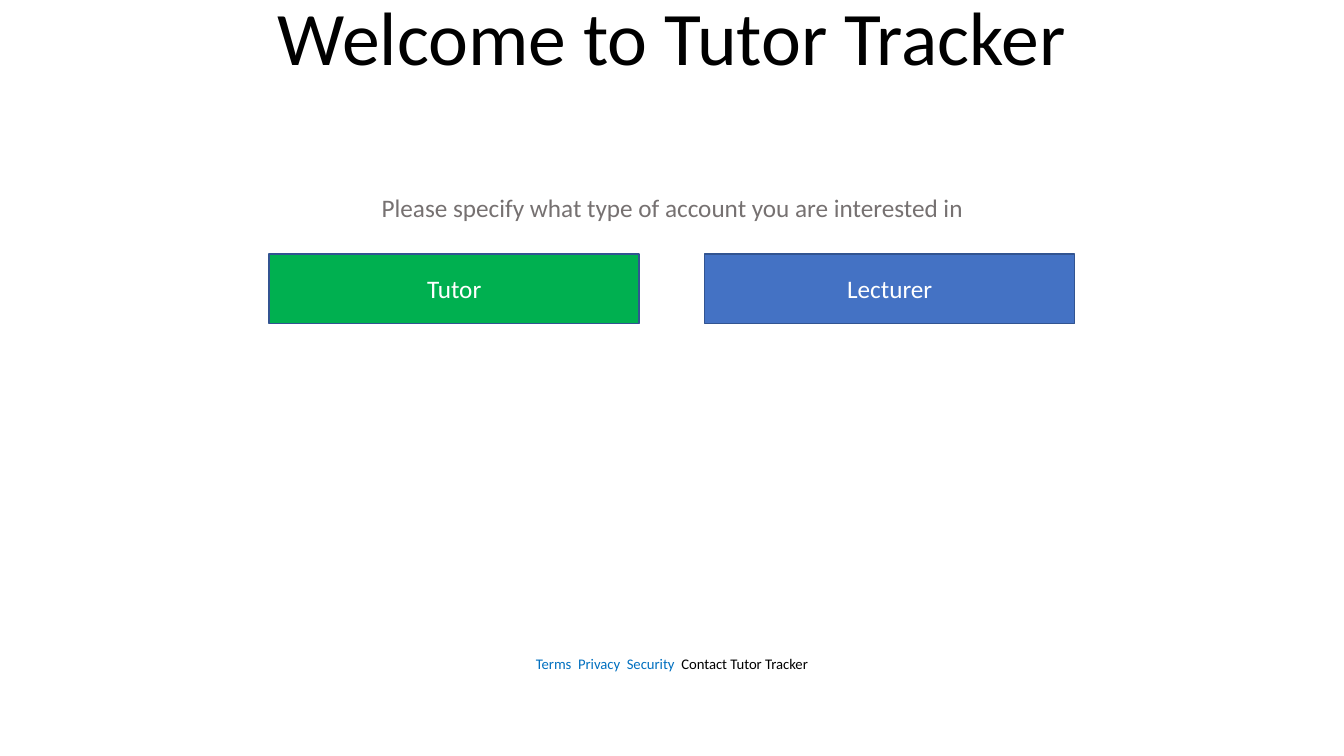
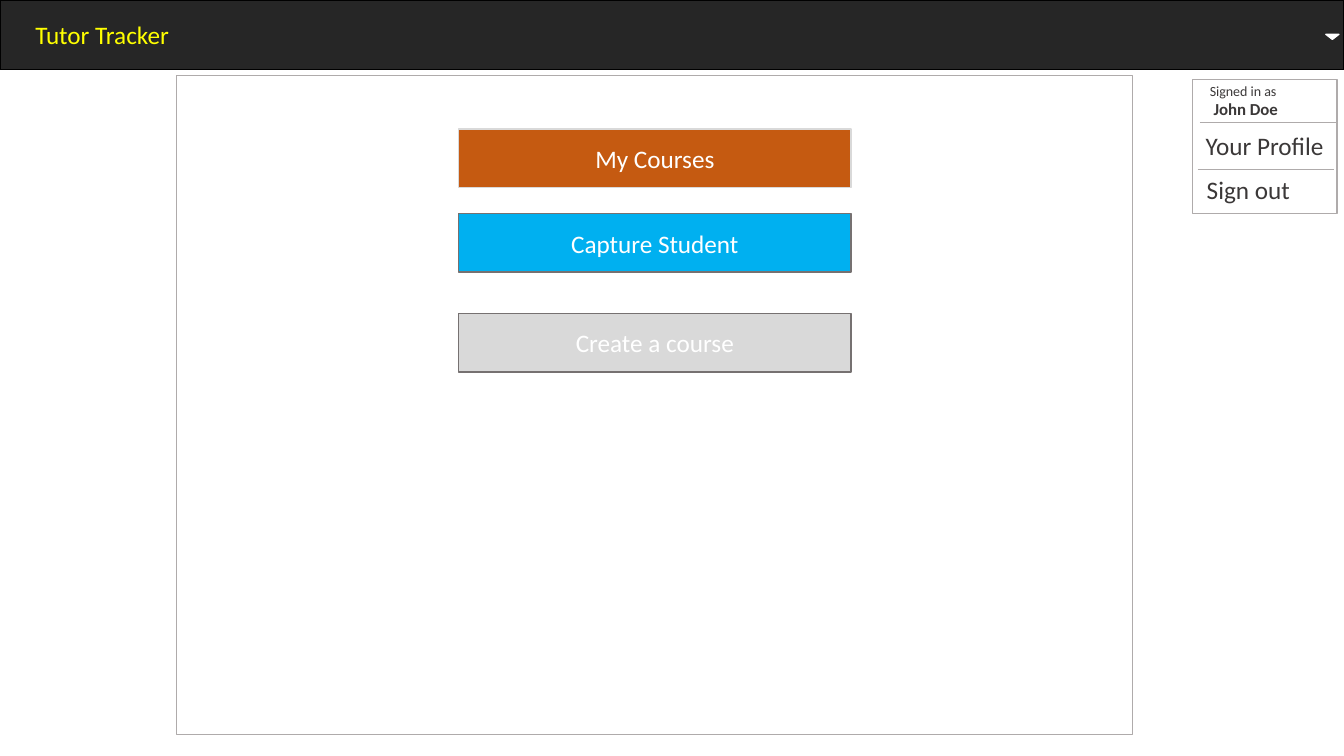
"""Build the welcome and home screens of the Tutor Tracker mock-up."""
from dataclasses import dataclass

from pptx import Presentation
from pptx.dml.color import RGBColor
from pptx.enum import shapes, text
from pptx.oxml import ns, xmlchemy
from pptx.util import Inches, Pt


@dataclass(frozen=True)
class Theme:
    """Colours, font and type sizes shared by the slides."""
    font: str = "Calibri"
    white: str = "FFFFFF"
    black: str = "000000"
    band: str = "262626"
    brand: str = "FFFF00"
    green: str = "00B050"
    blue: str = "4472C4"
    navy: str = "325491"
    sky: str = "00B0F0"
    orange: str = "C55A11"
    silver: str = "D9D9D9"
    gray: str = "767171"
    rule: str = "AFABAB"
    ink: str = "3B3838"
    link: str = "0070C0"
    display: float = 54
    body: float = 18
    name: float = 12
    label: float = 10
    footer: float = 10.5


THEME = Theme()
CENTER, LEFT = text.PP_ALIGN.CENTER, text.PP_ALIGN.LEFT
SLIDE_WIDTH, SLIDE_HEIGHT, BAND_HEIGHT = 13.33, 7.5, 0.69

WELCOME = "Welcome to Tutor Tracker"
PROMPT = "Please specify what type of account you are interested in"
ACCOUNTS = [("Tutor", THEME.green), ("Lecturer", THEME.blue)]
FOOTER = [("Terms  Privacy  Security", THEME.link),
          ("  Contact Tutor Tracker", THEME.black)]
APP_NAME = "Tutor Tracker"
ACTIONS = [("My Courses", 1.28, THEME.orange, THEME.silver),
           ("Capture Student", 2.12, THEME.sky, THEME.gray),
           ("Create a course", 3.11, THEME.silver, THEME.gray)]
SIGNED_IN = [("Signed in as", THEME.label, False), (" John Doe", THEME.name, True)]
MENU = [("Your Profile", 11.86, 1.32), ("Sign out", 11.87, 1.75)]
MENU_RULES = [(11.9, 1.21), (11.88, 1.68)]


def color(value):
    return RGBColor.from_string(value)


def paint(shape, fill, line=None):
    shape.fill.solid()
    shape.fill.fore_color.rgb = color(fill)
    if line:
        shape.line.color.rgb = color(line)
        shape.line.width = Pt(1)
    else:
        shape.line.fill.background()


def style(paragraph, size, ink, align=CENTER, bold=False):
    paragraph.alignment = align
    font = paragraph.font
    font.name, font.size, font.bold = THEME.font, Pt(size), bold
    font.color.rgb = color(ink)


def add_box(slide, box, fill=THEME.white, line=None,
            kind=shapes.MSO_SHAPE.RECTANGLE):
    shape = slide.shapes.add_shape(kind, *map(Inches, box))
    shape.shadow.inherit = False
    paint(shape, fill, line)
    return shape


def add_label(slide, box, words, ink=THEME.white, align=CENTER, **look):
    paragraph = add_box(slide, box, **look).text_frame.paragraphs[0]
    paragraph.text = words
    style(paragraph, THEME.body, ink, align)


def add_rule(slide, left, top, width):
    rule = slide.shapes.add_connector(
        shapes.MSO_CONNECTOR.STRAIGHT,
        *map(Inches, (left, top, left + width, top)))
    rule.line.color.rgb = color(THEME.rule)
    rule.line.width = Pt(0.5)
    rule._element.spPr.append(xmlchemy.OxmlElement("a:effectLst"))


def add_titled_slide(presentation, words, size, ink, fill, line=None,
                     align=CENTER, inset=0.1):
    slide = presentation.slides.add_slide(presentation.slide_layouts[5])
    title = slide.shapes.title
    title.left = title.top = 0
    title.width, title.height = Inches(SLIDE_WIDTH), Inches(BAND_HEIGHT)
    paint(title, fill, line)
    frame = title.text_frame
    frame.text = words
    frame.auto_size = text.MSO_AUTO_SIZE.NONE
    frame.vertical_anchor = text.MSO_ANCHOR.MIDDLE
    frame.margin_left = Inches(inset)
    style(frame.paragraphs[0], size, ink, align)
    return slide


def build_welcome(presentation):
    slide = add_titled_slide(presentation, WELCOME, THEME.display,
                             THEME.black, THEME.white)
    links = add_box(slide, (4.83, 6.37, 3.67, 0.42), line=THEME.white)
    paragraph = links.text_frame.paragraphs[0]
    style(paragraph, THEME.footer, THEME.black)
    for words, ink in FOOTER:
        run = paragraph.add_run()
        run.text = words
        run.font.color.rgb = color(ink)
    width, gap = 3.67, 0.65
    for index, (words, fill) in enumerate(ACCOUNTS):
        add_label(slide, (2.67 + index * (width + gap), 2.52, width, 0.69),
                  words, fill=fill, line=THEME.navy)
    add_label(slide, (3.32, 1.85, 6.7, 0.42), PROMPT, THEME.gray)


def build_home(presentation):
    slide = add_titled_slide(presentation, APP_NAME, THEME.body, THEME.brand,
                             THEME.band, THEME.black, LEFT, inset=0.35)
    add_box(slide, (13.15, 0.34, 0.13, 0.05), line=THEME.white,
            kind=shapes.MSO_SHAPE.FLOWCHART_MERGE)
    add_box(slide, (11.83, 0.79, 1.43, 1.33), line=THEME.rule)
    frame = add_box(slide, (11.9, 0.82, 1.25, 0.36)).text_frame
    frame.text = "\n".join(words for words, _, _ in SIGNED_IN)
    for paragraph, (_, size, bold) in zip(frame.paragraphs, SIGNED_IN):
        style(paragraph, size, THEME.ink, LEFT, bold)
    for words, left, top in MENU:
        add_label(slide, (left, top, 1.38, 0.25), words, THEME.ink, LEFT)
    for left, top in MENU_RULES:
        add_rule(slide, left, top, 1.35)
    add_box(slide, (1.75, 0.75, 9.48, 6.54), line=THEME.rule)
    for words, top, fill, line in ACTIONS:
        add_label(slide, (4.55, top, 3.89, 0.58), words, fill=fill, line=line)


presentation = Presentation()
presentation.slide_width = Inches(SLIDE_WIDTH)
presentation.slide_height = Inches(SLIDE_HEIGHT)
build_welcome(presentation)
build_home(presentation)
presentation.save("out.pptx")
